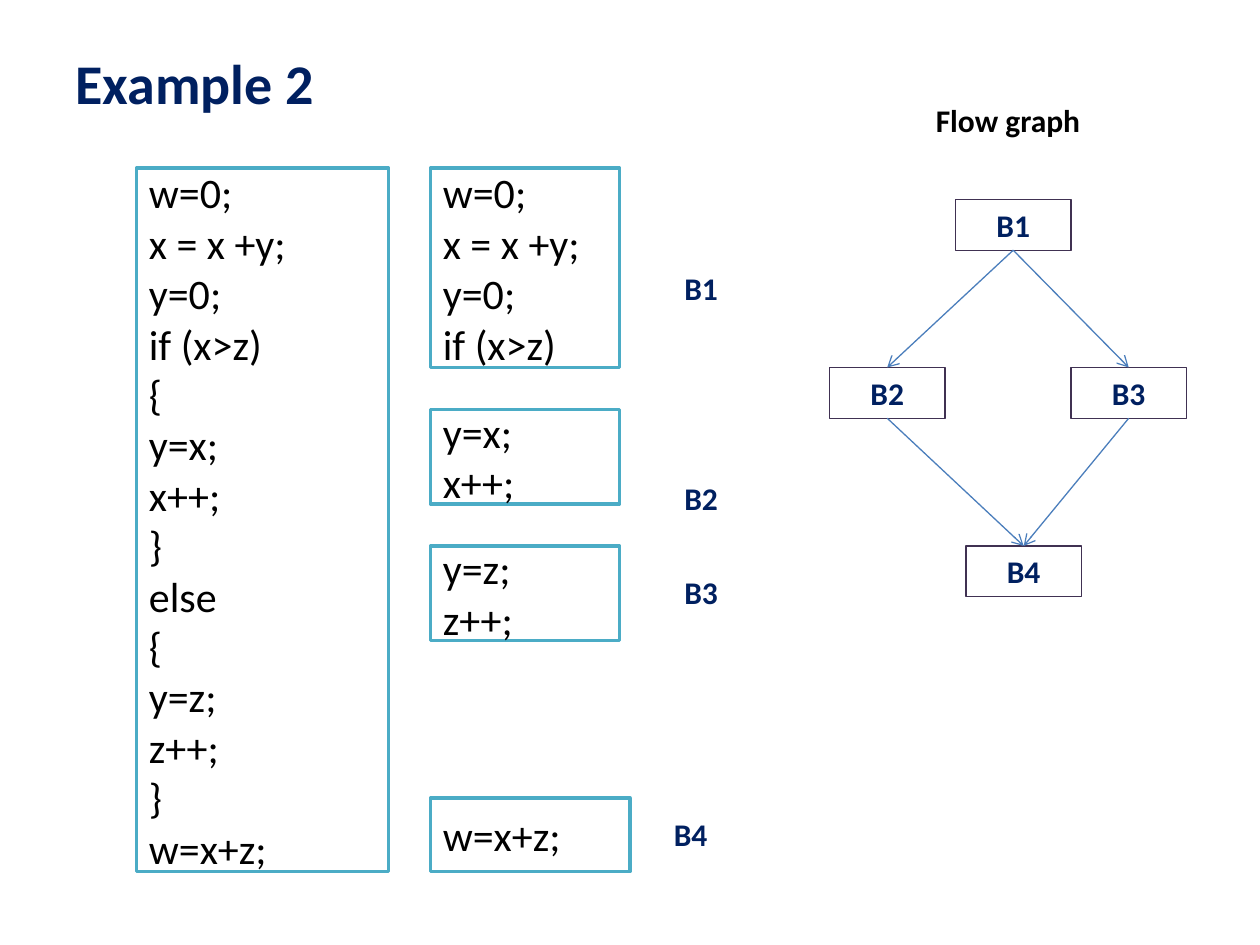
"""Build the Example 2 slide: code, its basic blocks and their flow graph."""
from lxml.etree import SubElement
from pptx import Presentation
from pptx.dml.color import RGBColor
from pptx.enum.shapes import MSO_CONNECTOR, MSO_SHAPE
from pptx.enum.text import MSO_ANCHOR, MSO_AUTO_SIZE, PP_ALIGN
from pptx.oxml.ns import qn
from pptx.util import Pt

HUES = {
    "navy": "002060",
    "black": "000000",
    "white": "FFFFFF",
    "teal": "4BACC6",
    "plum": "403152",
    "blue": "4B7EBC",
}


def hue(name):
    return RGBColor.from_string(HUES[name])


def put(text, left, top, wide, high, size, color, bold=True,
        edge=None, width=0.75, fill=None, align=PP_ALIGN.LEFT, grow=True):
    box = (Pt(left), Pt(top), Pt(wide), Pt(high))
    if edge:
        shape = slide.shapes.add_shape(MSO_SHAPE.RECTANGLE, *box)
        shape.shadow.inherit = False
        shape.line.color.rgb = hue(edge)
        shape.line.width = Pt(width)
        if fill:
            shape.fill.solid()
            shape.fill.fore_color.rgb = hue(fill)
        else:
            shape.fill.background()
    else:
        shape = slide.shapes.add_textbox(*box)
    frame = shape.text_frame
    frame.text = text
    frame.word_wrap = True
    frame.auto_size = MSO_AUTO_SIZE.SHAPE_TO_FIT_TEXT if grow else MSO_AUTO_SIZE.NONE
    frame.vertical_anchor = MSO_ANCHOR.TOP if grow else MSO_ANCHOR.MIDDLE
    for para in frame.paragraphs:
        para.alignment = align
        for run in para.runs:
            run.font.name = "Calibri"
            run.font.size = Pt(size)
            run.font.bold = bold
            run.font.color.rgb = hue(color)
    return shape


deck = Presentation()
deck.slide_width, deck.slide_height = Pt(720), Pt(540)
slide = deck.slides.add_slide(deck.slide_layouts[6])

put("Example 2", 36, 21.6, 288, 50.4, 32, "navy", grow=False)

start = "w=0;\nx = x +y;\ny=0;\nif (x>z)"
then = "y=x;\nx++;"
other = "y=z;\nz++;"
end = "w=x+z;"
whole = "\n".join([start, "{", then, "}", "else", "{", other, "}", end])

blocks = [
    (whole, 78, 96, 144, 402),
    (start, 246, 96, 108, 114),
    (then, 246, 234, 108, 54),
    (other, 246, 312, 108, 54),
    (end, 246, 456, 114, 42),
]
for code, *box in blocks:
    put(code, *box, 24, "black", bold=False, edge="teal", width=2,
        fill="white", grow=False)

labels = [("B1", 384, 150), ("B2", 384, 270), ("B3", 384, 324), ("B4", 378, 462)]
for name, left, top in labels:
    put(name, left, top, 36, 29, 18, "navy")

places = [("B1", 546, 114), ("B2", 474, 210), ("B3", 612, 210), ("B4", 552, 312)]
nodes = {}
for name, left, top in places:
    nodes[name] = put(name, left, top, 66, 29, 18, "navy", edge="plum",
                      align=PP_ALIGN.CENTER)

for tail, head in [("B1", "B2"), ("B1", "B3"), ("B2", "B4"), ("B3", "B4")]:
    arrow = slide.shapes.add_connector(MSO_CONNECTOR.STRAIGHT, 0, 0, 0, 0)
    arrow.begin_connect(nodes[tail], 2)
    arrow.end_connect(nodes[head], 0)
    arrow.line.color.rgb = hue("blue")
    arrow.line.width = Pt(0.75)
    SubElement(arrow.line._get_or_add_ln(), qn("a:tailEnd"), type="arrow")
    SubElement(arrow._element.spPr, qn("a:effectLst"))

put("Flow graph", 498, 54, 156, 29, 18, "black", align=PP_ALIGN.CENTER)

deck.save("out.pptx")
